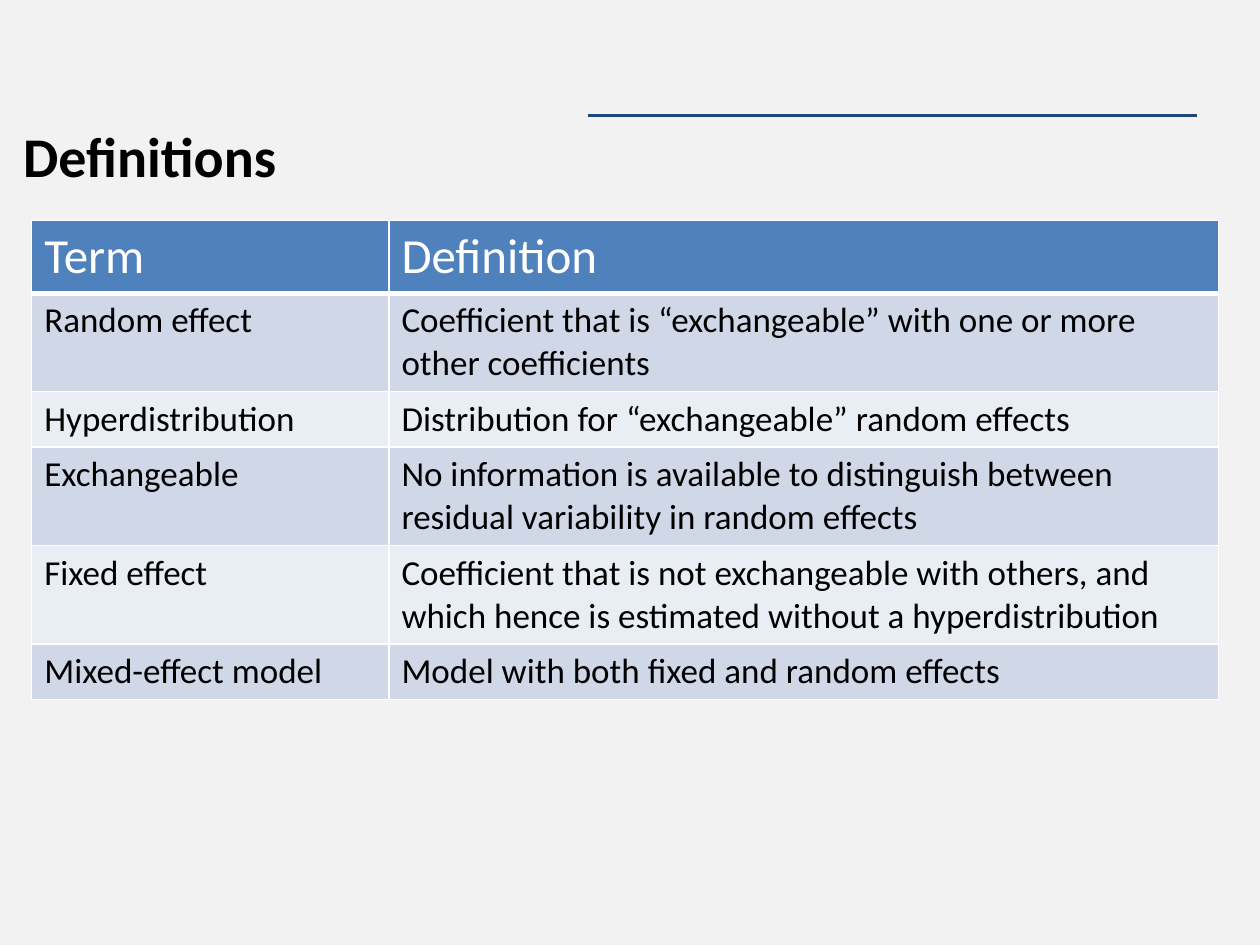
from dataclasses import dataclass

from lxml.etree import SubElement
from pptx import Presentation
from pptx.dml.color import RGBColor as RGB
from pptx.enum.shapes import MSO_CONNECTOR as CONN
from pptx.enum.text import MSO_ANCHOR as ANCHOR, PP_ALIGN as ALIGN
from pptx.oxml.ns import qn
from pptx.util import Cm, Pt


@dataclass(frozen=True)
class Theme:
    font: str = "Calibri"
    back: str = "F2F2F2"
    rule: str = "1F497D"
    ink: str = "000000"
    white: str = "FFFFFF"
    header: str = "4F81BD"
    bands: tuple = ("D0D8E8", "E9EDF4")
    heading_size: int = 32
    header_size: int = 28
    cell_size: int = 20


class Deck:
    """Holds the theme and the current slide, and draws its elements."""

    def __init__(self, prs, theme):
        self.theme = theme
        self.s = prs.slides.add_slide(prs.slide_layouts[1])
        title = self.s.shapes.title
        title.element.getparent().remove(title.element)
        fill = self.s.background.fill
        fill.solid()
        fill.fore_color.rgb = RGB.from_string(theme.back)

    def style(self, p, size, color, bold=False):
        p.alignment = ALIGN.LEFT
        f = p.font
        f.name, f.size, f.bold = self.theme.font, Pt(size), bold
        f.color.rgb = RGB.from_string(color)

    def rule(self, x1, x2, y, width):
        sp = self.s.shapes.add_connector(CONN.STRAIGHT, Cm(x1), Cm(y), Cm(x2), Cm(y))
        sp.line.color.rgb = RGB.from_string(self.theme.rule)
        sp.line.width = Pt(width)
        SubElement(sp.element.spPr, qn("a:effectLst"))

    def heading(self, text, x, y, w, h):
        sp = self.s.placeholders[1]
        sp.left, sp.top, sp.width, sp.height = Cm(x), Cm(y), Cm(w), Cm(h)
        tf = sp.text_frame
        tf.text = text
        tf.vertical_anchor = ANCHOR.TOP
        p = tf.paragraphs[0]
        p.space_before = p.space_after = Pt(6)
        self.style(p, self.theme.heading_size, self.theme.ink, bold=True)
        pPr = p._p.get_or_add_pPr()
        pPr.set("marL", "0")
        pPr.set("indent", "0")
        pPr.insert_element_before(pPr.makeelement(qn("a:buNone")), "a:tabLst", "a:defRPr")

    def borders(self, cell, bottom):
        tcPr = cell._tc.get_or_add_tcPr()
        for side, width in zip("LRTB", (1, 1, 1, bottom)):
            ln = SubElement(tcPr, qn(f"a:ln{side}"), w=str(Pt(width)))
            fill = SubElement(ln, qn("a:solidFill"))
            SubElement(fill, qn("a:srgbClr"), val=self.theme.white)

    def table(self, rows, x, y, widths, row_height):
        t = self.theme
        tbl = self.s.shapes.add_table(len(rows), len(widths), Cm(x), Cm(y),
                                      Cm(sum(widths)), Cm(row_height * len(rows))).table
        for col, w in zip(tbl.columns, widths):
            col.width = Cm(w)
        for i, row in enumerate(rows):
            if i == 0:
                fill, size, color, bottom = t.header, t.header_size, t.white, 3
            else:
                fill, size, color, bottom = t.bands[(i - 1) % 2], t.cell_size, t.ink, 1
            for j, text in enumerate(row):
                cell = tbl.cell(i, j)
                cell.text = text
                self.style(cell.text_frame.paragraphs[0], size, color)
                self.borders(cell, bottom)
                cell.fill.solid()
                cell.fill.fore_color.rgb = RGB.from_string(fill)


DEFINITIONS = [
    ("Term", "Definition"),
    ("Random effect", "Coefficient that is “exchangeable” with one or more other coefficients"),
    ("Hyperdistribution", "Distribution for “exchangeable” random effects"),
    ("Exchangeable", "No information is available to distinguish between "
                     "residual variability in random effects"),
    ("Fixed effect", "Coefficient that is not exchangeable with others, "
                     "and which hence is estimated without a hyperdistribution"),
    ("Mixed-effect model", "Model with both fixed and random effects"),
]

prs = Presentation()
prs.slide_width, prs.slide_height = Cm(25.4), Cm(19.05)
deck = Deck(prs, Theme())
deck.rule(11.86, 24.13, 2.33, 2)
deck.heading("Definitions", 0.21, 2.33, 24.98, 16.51)
deck.table(DEFINITIONS, 0.64, 4.45, (7.2, 16.72), 1.04)
prs.save("out.pptx")
